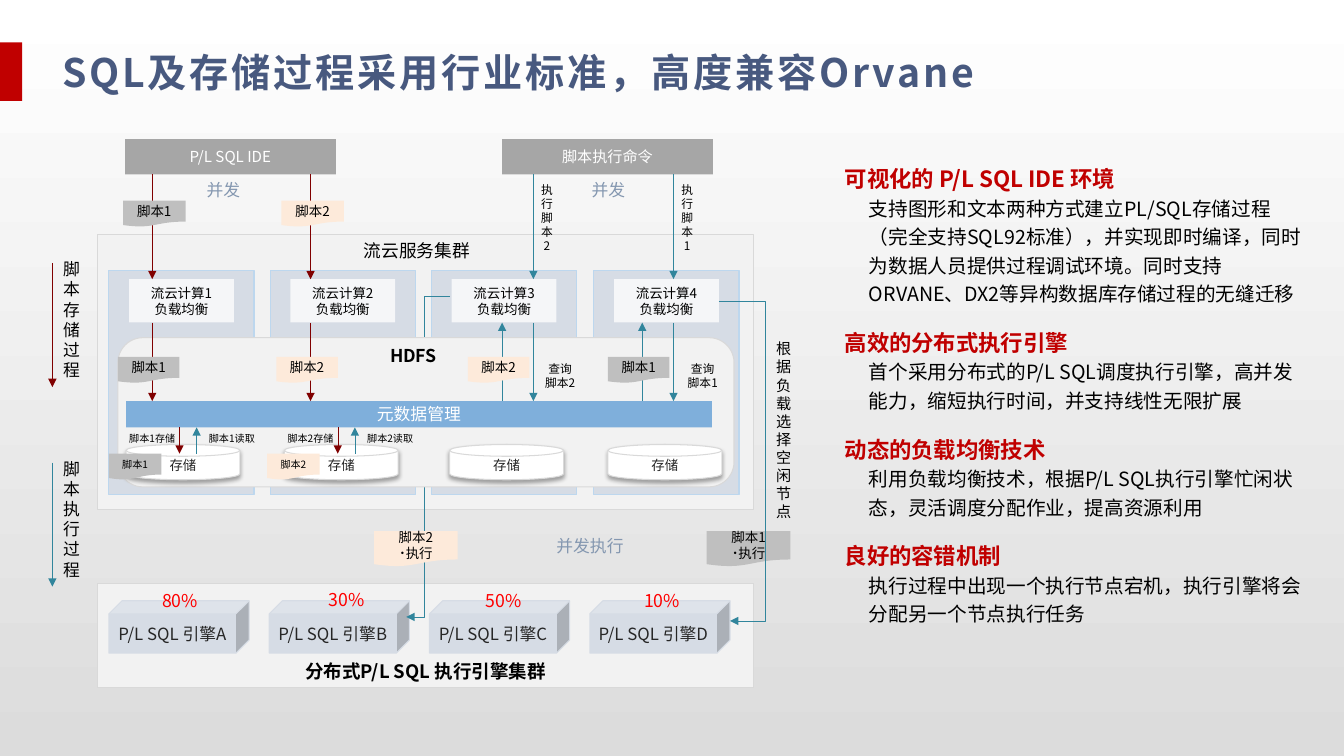
from dataclasses import dataclass
from typing import Optional

import lxml.etree
import pptx
import pptx.dml.color
import pptx.enum.dml
import pptx.enum.shapes
import pptx.enum.text
import pptx.oxml.ns
import pptx.util

PX = 9144  # 100 px to the inch
FONT = "Noto Sans CJK SC"
RGB = pptx.dml.color.RGBColor
KIND = pptx.enum.shapes.MSO_SHAPE
LINK = pptx.enum.shapes.MSO_CONNECTOR
ALIGN = pptx.enum.text.PP_ALIGN
ANCHOR = pptx.enum.text.MSO_ANCHOR

WHITE, BLACK, INK = RGB(255, 255, 255), RGB(0, 0, 0), RGB(0x26, 0x26, 0x26)
RED, BRIGHT, MAROON = RGB(0xC0, 0, 0), RGB(0xFF, 0, 0), RGB(0x80, 0, 0)
TEAL, NAVY, SLATE = RGB(0x31, 0x85, 0x9C), RGB(0x48, 0x59, 0x7F), RGB(0x84, 0x97, 0xB0)
PALE, EDGE, SHADE = RGB(0xF2, 0xF2, 0xF2), RGB(0xD9, 0xD9, 0xD9), RGB(0xDC, 0xDC, 0xDC)
MIST, SKY, BLUE = RGB(0xD6, 0xDC, 0xE5), RGB(0xBD, 0xD7, 0xEE), RGB(0x5B, 0x9B, 0xD5)
GREY, SILVER, PEACH = RGB(0xA6, 0xA6, 0xA6), RGB(0xBF, 0xBF, 0xBF), RGB(0xFD, 0xEA, 0xDA)
PAPER = {1: SILVER, 2: PEACH}


@dataclass(frozen=True)
class Spot:
    x: int
    y: int
    w: int
    h: int


@dataclass(frozen=True)
class Look:
    size: float
    ink: RGB = BLACK
    bold: bool = False
    align: ALIGN = ALIGN.CENTER
    anchor: ANCHOR = ANCHOR.MIDDLE
    wrap: bool = True
    side: int = 10
    space: int = 0


@dataclass(frozen=True)
class Skin:
    fill: RGB
    edge: Optional[RGB] = None
    alpha: int = 100
    square: bool = False


@dataclass(frozen=True)
class Query:
    num: int
    x: int
    left: int
    wide: int


@dataclass(frozen=True)
class Point:
    head: str
    body: str


POINTS = (
    Point("可视化的 P/L SQL IDE 环境",
          "支持图形和文本两种方式建立PL/SQL存储过程（完全支持SQL92标准），并实现即时编译，"
          "同时为数据人员提供过程调试环境。同时支持ORVANE、DX2等异构数据库存储过程的无缝迁移"),
    Point("高效的分布式执行引擎",
          "首个采用分布式的P/L SQL调度执行引擎，高并发能力，缩短执行时间，并支持线性无限扩展"),
    Point("动态的负载均衡技术",
          "利用负载均衡技术，根据P/L SQL执行引擎忙闲状态，灵活调度分配作业，提高资源利用"),
    Point("良好的容错机制",
          "执行过程中出现一个执行节点宕机，执行引擎将会分配另一个节点执行任务"),
)

deck = pptx.Presentation()
deck.slide_width, deck.slide_height = 1333 * PX, 750 * PX
slide = deck.slides.add_slide(deck.slide_layouts[6])


def child(parent, tag: str, **attrs: str):
    return lxml.etree.SubElement(parent, pptx.oxml.ns.qn(tag), attrs)


def add_run(para, text: str, look: Look) -> None:
    run = para.add_run()
    run.text = text
    font = run.font
    font.size, font.bold, font.name = pptx.util.Pt(look.size), look.bold, FONT
    font.color.rgb = look.ink
    props = run._r.get_or_add_rPr()
    child(props, "a:ea", typeface=FONT)
    if look.space:
        props.set("spc", str(look.space))


def write(frame, text: str, look: Look) -> None:
    frame.word_wrap = look.wrap
    frame.vertical_anchor = look.anchor
    frame.margin_left = frame.margin_right = look.side * PX
    frame.margin_top = frame.margin_bottom = 5 * PX
    for i, line in enumerate(text.split("\n")):
        para = frame.add_paragraph() if i else frame.paragraphs[0]
        para.alignment = look.align
        add_run(para, line, look)


def add_box(spot: Spot):
    return slide.shapes.add_textbox(spot.x * PX, spot.y * PX, spot.w * PX, spot.h * PX)


def label(spot: Spot, text: str, look: Look) -> None:
    write(add_box(spot).text_frame, text, look)


def block(kind: KIND, spot: Spot, skin: Skin, text: str = "", look: Look = Look(9.6)):
    shape = slide.shapes.add_shape(kind, spot.x * PX, spot.y * PX, spot.w * PX, spot.h * PX)
    shape.shadow.inherit = False
    shape.fill.solid()
    shape.fill.fore_color.rgb = skin.fill
    if skin.alpha < 100:
        tint = shape._element.spPr.find(".//" + pptx.oxml.ns.qn("a:srgbClr"))
        child(tint, "a:alpha", val=str(skin.alpha * 1000))
    if skin.edge is None:
        shape.line.fill.background()
    else:
        shape.line.color.rgb = skin.edge
        shape.line.width = pptx.util.Pt(0.75)
    if skin.square:
        shape.adjustments[0] = 0
    if text:
        write(shape.text_frame, text, look)
    return shape


def arrow(x1: int, y1: int, x2: int, y2: int, hue: RGB, bend: int = 0):
    """Draw an arrow; bend places an elbow's turn, in thousandths of its width."""
    kind = LINK.ELBOW if bend else LINK.STRAIGHT
    line = slide.shapes.add_connector(kind, x1 * PX, y1 * PX, x2 * PX, y2 * PX)
    line.line.color.rgb = hue
    line.line.width = pptx.util.Pt(0.25)
    props = line._element.spPr
    child(props.find(pptx.oxml.ns.qn("a:ln")), "a:tailEnd", type="triangle")
    child(props, "a:effectLst")
    if bend:
        guide = props.find(".//" + pptx.oxml.ns.qn("a:avLst"))
        child(guide, "a:gd", name="adj1", fmla=f"val {bend * 100}")
    return line


def script(num: int, spot: Spot, size: float = 9.6, tail: str = "") -> None:
    block(KIND.FLOWCHART_DOCUMENT, spot, Skin(PAPER[num]), f"脚本{num}{tail}", Look(size))


def disk(x: int) -> None:
    shape = block(KIND.FLOWCHART_MAGNETIC_DISK, Spot(x, 441, 113, 35), Skin(WHITE, EDGE),
                  "存储", Look(9.6, INK))
    glow = shape._element.spPr.find(pptx.oxml.ns.qn("a:effectLst"))
    cast = child(glow, "a:outerShdw", blurRad="39370", dist="22860", dir="5400000",
                 algn="t", rotWithShape="0")
    child(child(cast, "a:srgbClr", val="000000"), "a:alpha", val="35000")


def add_points(spot: Spot) -> None:
    frame = add_box(spot).text_frame
    frame.word_wrap = True
    for i, point in enumerate(POINTS):
        head = frame.add_paragraph() if i else frame.paragraphs[0]
        head.space_before = pptx.util.Pt(13 if i else 0)
        add_run(head, point.head, Look(16, RED, True))
        body = frame.add_paragraph()
        body._p.get_or_add_pPr().set("marL", str(24 * PX))
        add_run(body, point.body, Look(14))
        head.line_spacing = body.line_spacing = 1.2


back = slide.background.fill
back.gradient()
back.gradient_angle = 270
for stop, hue, place in zip(back.gradient_stops, (WHITE, SHADE), (0, 1)):
    stop.color.rgb, stop.position = hue, place

block(KIND.RECTANGLE, Spot(0, 42, 22, 58), Skin(RED))
label(Spot(52, 42, 1174, 58), "SQL及存储过程采用行业标准，高度兼容Orvane",
      Look(28, NAVY, True, ALIGN.LEFT, space=200))
add_points(Spot(828, 154, 480, 474))

# Side notes
TOP = ANCHOR.TOP
label(Spot(760, 332, 47, 192), "根据负载选择空闲节点", Look(10.8, align=ALIGN.LEFT, anchor=TOP))
for y, hue, text in ((252, MAROON, "脚本存储过程"), (450, TEAL, "脚本执行过程")):
    arrow(52, y + 9, 52, y + 132, hue)
    label(Spot(52, y, 38, 131), text, Look(12, anchor=TOP))

# Clusters, engines and nodes
panel = Skin(PALE, EDGE, square=True)
block(KIND.ROUNDED_RECTANGLE, Spot(97, 579, 650, 103), panel, "分布式P/L SQL 执行引擎集群",
      Look(13.2, bold=True, anchor=ANCHOR.BOTTOM))
block(KIND.ROUNDED_RECTANGLE, Spot(97, 233, 650, 272), panel)
for i, name in enumerate("ABCD"):
    block(KIND.CUBE, Spot(108 + 159 * i, 596, 139, 52), Skin(MIST, MIST),
          f"P/L SQL 引擎{name}", Look(12, INK, wrap=False))
for x, text in ((124, "P/L SQL IDE"), (498, "脚本执行命令")):
    block(KIND.ROUND_2_DIAG_RECTANGLE, Spot(x, 138, 209, 35), Skin(GREY, square=True),
          text, Look(10.8, WHITE, wrap=False))

COLUMNS = (108, 268, 428, 589)
for x in COLUMNS:
    block(KIND.RECTANGLE, Spot(x, 268, 144, 223), Skin(MIST, SKY))
arrow(446, 294, 403, 612, TEAL, 593)
nodes = [block(KIND.RECTANGLE, Spot(x + 20, 277, 104, 43), Skin(WHITE, alpha=76),
               f"流云计算{i}\n负载均衡", Look(9.6, side=0)) for i, x in enumerate(COLUMNS, 1)]

# Shared storage
block(KIND.FLOWCHART_ALTERNATE_PROCESS, Spot(117, 335, 611, 148), Skin(PALE, EDGE))
for x in (125, 282, 446, 603):
    disk(x)
block(KIND.RECTANGLE, Spot(125, 398, 581, 26), Skin(BLUE, alpha=76), "元数据管理",
      Look(12, WHITE, side=0))

# Storing scripts
tiny, small = Look(7.2, anchor=TOP), Look(8.4, anchor=TOP)
for num, x in ((1, 151), (2, 308)):
    arrow(x, 173, x, 277, MAROON)
    arrow(x, 320, x, 398, MAROON)
    arrow(x + 27, 424, x + 27, 450, MAROON)
    arrow(x + 44, 450, x + 44, 424, TEAL)
    script(num, Spot(x - 29, 199, 62, 26))
    script(num, Spot(x - 34, 354, 61, 26))
    script(num, Spot(x - 43, 450, 52, 26), 7.2)
    label(Spot(x - 43, 424, 86, 22), f"脚本{num}存储", tiny)
    label(Spot(x + 36, 424, 86, 22), f"脚本{num}读取", tiny)

# Running scripts
for ask in (Query(2, 529, 525, 61), Query(1, 668, 647, 100)):
    arrow(ask.x, 173, ask.x, 277, TEAL)
    arrow(ask.x, 320, ask.x, 398, TEAL)
    arrow(ask.x - 31, 398, ask.x - 31, 320, TEAL)
    script(ask.num, Spot(ask.x - 65, 354, 61, 26))
    label(Spot(ask.x - 4, 176, 35, 81), "\n".join(f"执行脚本{ask.num}"), small)
    label(Spot(ask.left, 354, ask.wide, 38), f"查询\n脚本{ask.num}", small)
for num, x in ((2, 371), (1, 701)):
    script(num, Spot(x, 527, 83, 35), tail="\n˙执行")

# Captions
for x, y, load in ((151, 580, 80), (316, 579, 30), (472, 580, 50), (629, 580, 10)):
    label(Spot(x, y, 104, 31), f"{load}%", Look(12.6, BRIGHT, align=ALIGN.LEFT, anchor=TOP))
for x, y, text in ((195, 173, "并发"), (577, 173, "并发"), (542, 527, "并发执行")):
    label(Spot(x, y, 95, 30), text, Look(12, SLATE, align=ALIGN.LEFT, anchor=TOP))
label(Spot(377, 337, 95, 31), "HDFS", Look(12.6, bold=True, align=ALIGN.LEFT, anchor=TOP))
label(Spot(351, 233, 139, 31), "流云服务集群", Look(12.6, align=ALIGN.LEFT, anchor=TOP))
arrow(713, 298, 724, 616, TEAL, 4164).begin_connect(nodes[3], 3)

deck.save("out.pptx")
